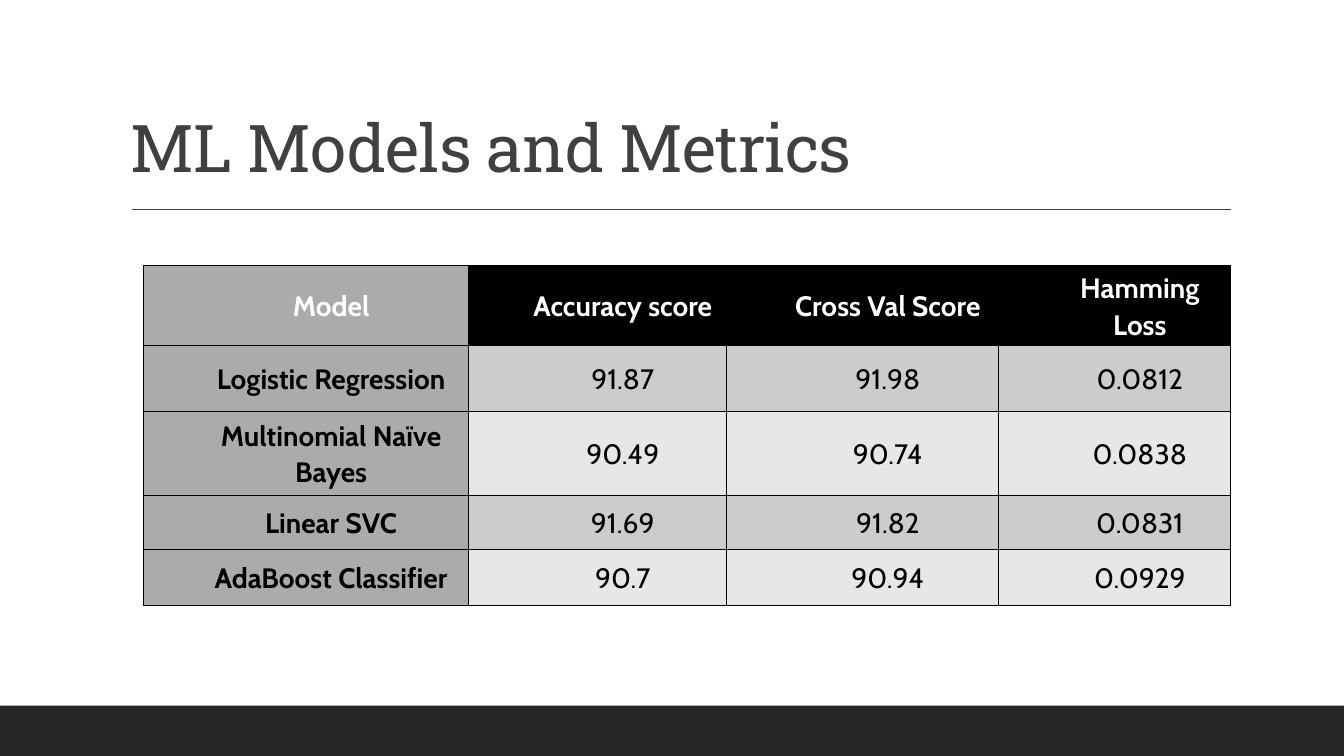
"""Builds a slide with a table of machine learning models and their metrics."""
from lxml.etree import SubElement
from pptx import Presentation
from pptx.dml.color import RGBColor
from pptx.enum.shapes import MSO_CONNECTOR, MSO_SHAPE
from pptx.enum.text import MSO_ANCHOR, PP_ALIGN
from pptx.oxml import parse_xml
from pptx.oxml.ns import nsdecls, qn
from pptx.util import Cm, Pt

WHITE = RGBColor(0xFF, 0xFF, 0xFF)
BLACK = RGBColor(0x00, 0x00, 0x00)
DARK = RGBColor(0x26, 0x26, 0x26)
SLATE = RGBColor(0x40, 0x40, 0x40)
GREY = RGBColor(0xAB, 0xAB, 0xAB)
BANDS = [RGBColor(0xE7, 0xE7, 0xE7), RGBColor(0xCC, 0xCC, 0xCC)]

ROWS = [
    ("Model", "Accuracy score", "Cross Val Score", "Hamming Loss"),
    ("Logistic Regression", "91.87", "91.98", "0.0812"),
    ("Multinomial Naïve Bayes", "90.49", "90.74", "0.0838"),
    ("Linear SVC", "91.69", "91.82", "0.0831"),
    ("AdaBoost Classifier", "90.7", "90.94", "0.0929"),
]
WIDTHS = [8.2, 6.5, 6.86, 5.84]
HEIGHTS = [2.01, 1.65, 2.13, 1.35, 1.42]


def add_borders(cell):
    props = cell._tc.get_or_add_tcPr()
    for i, side in enumerate(("lnL", "lnR", "lnT", "lnB")):
        props.insert(i, parse_xml(
            f'<a:{side} {nsdecls("a")} w="12700"><a:solidFill>'
            f'<a:srgbClr val="{BLACK}"/></a:solidFill></a:{side}>'))


deck = Presentation()
deck.slide_width, deck.slide_height = Cm(33.87), Cm(19.05)
slide = deck.slides.add_slide(deck.slide_layouts[6])
shapes = slide.shapes

footer = shapes.add_shape(MSO_SHAPE.RECTANGLE, 0, Cm(17.78), deck.slide_width, Cm(1.27))
footer.shadow.inherit = False
footer.fill.solid()
footer.fill.fore_color.rgb = DARK
footer.line.fill.background()

rule = shapes.add_connector(MSO_CONNECTOR.STRAIGHT, Cm(3.33), Cm(5.28), Cm(31.01), Cm(5.28))
rule.line.color.rgb = SLATE
rule.line.width = Pt(1)
SubElement(rule._element.spPr, qn("a:effectLst"))

title = shapes.add_textbox(Cm(3.05), Cm(0.79), Cm(27.94), Cm(4.04))
frame = title.text_frame
frame.word_wrap = True
frame.vertical_anchor = MSO_ANCHOR.BOTTOM
head = frame.paragraphs[0]
head.text = "ML Models and Metrics"
head.line_spacing = 0.9
head.font.size = Pt(47)
head.font.name = "Roboto Slab"
head.font.color.rgb = SLATE
head.runs[0].font._element.set("spc", "-50")

table = shapes.add_table(len(ROWS), len(WIDTHS), Cm(3.61), Cm(6.7),
                         Cm(sum(WIDTHS)), Cm(sum(HEIGHTS))).table
for column, width in zip(table.columns, WIDTHS):
    column.width = Cm(width)

for r, (texts, height) in enumerate(zip(ROWS, HEIGHTS)):
    table.rows[r].height = Cm(height)
    for c, text in enumerate(texts):
        cell = table.cell(r, c)
        cell.vertical_anchor = MSO_ANCHOR.MIDDLE
        cell.margin_left = cell.margin_right = Cm(0.18)
        cell.margin_top = cell.margin_bottom = 0
        cell.fill.solid()
        cell.fill.fore_color.rgb = GREY if c == 0 else BLACK if r == 0 else BANDS[r % 2]
        add_borders(cell)

        para = cell.text_frame.paragraphs[0]
        para.text = text
        para.alignment = PP_ALIGN.CENTER
        para.line_spacing = 1.07
        if c == len(WIDTHS) - 1:
            para.space_after = Pt(8)
        indent = para._p.get_or_add_pPr()
        indent.set("marL", str(Cm(1.27)))
        indent.set("indent", "0")
        para.font.size = Pt(20)
        para.font.name = "Cabin"
        para.font.bold = r == 0 or c == 0
        para.font.color.rgb = WHITE if r == 0 else BLACK

deck.save("out.pptx")
